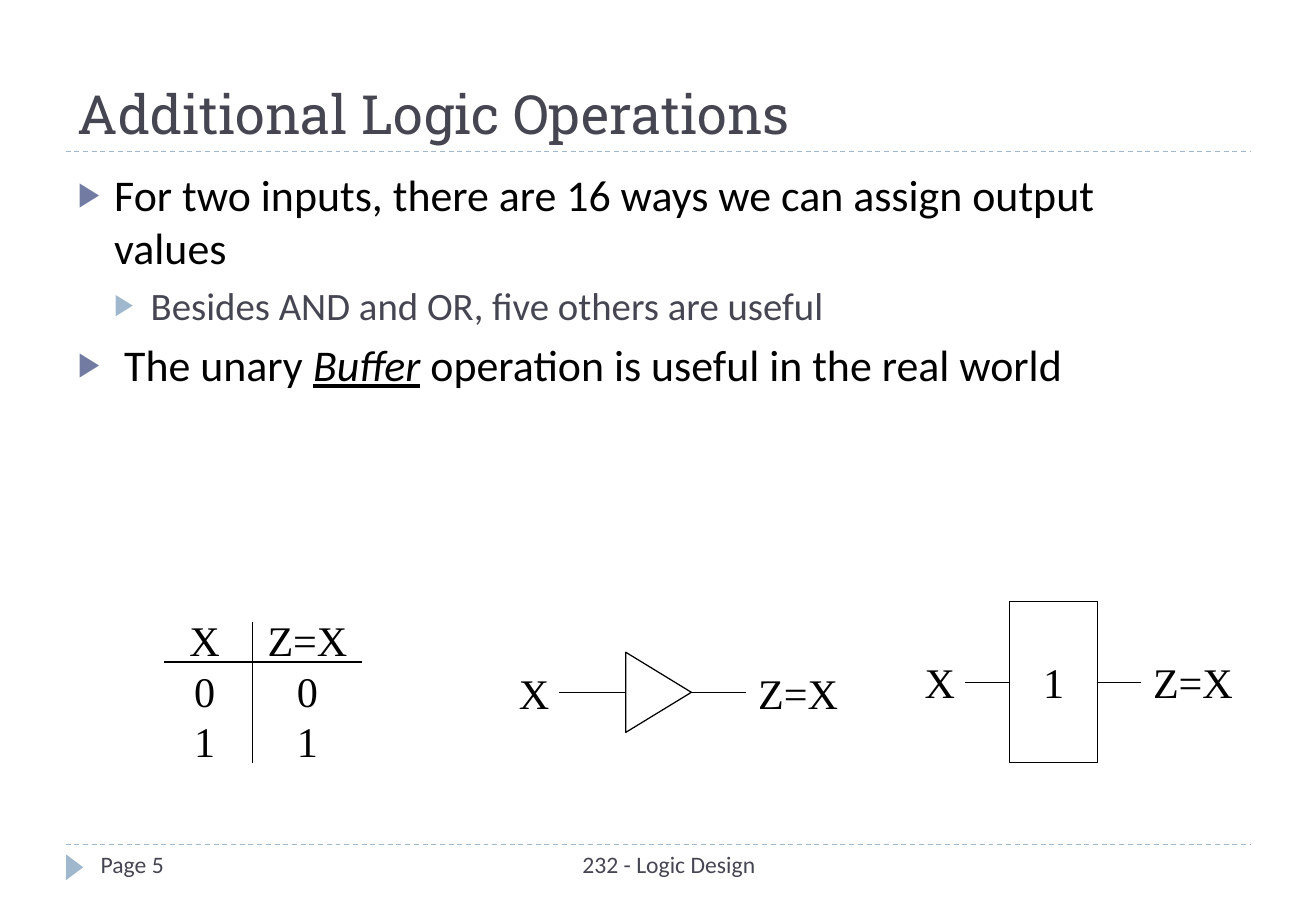
from lxml import etree
from pptx import Presentation
from pptx import util as u
from pptx.dml.color import RGBColor
from pptx.enum import dml, shapes, text
from pptx.oxml import ns

EMU_PER_PX = 9144  # 100 px to the inch

BLACK = RGBColor(0x00, 0x00, 0x00)
WHITE = RGBColor(0xFF, 0xFF, 0xFF)
SLATE = RGBColor(0x46, 0x46, 0x53)
INDIGO = RGBColor(0x72, 0x7C, 0xA3)
SKY = RGBColor(0x9F, 0xB8, 0xCD)

HEADING, SANS, SERIF = "Roboto Slab", "Calibri", "Times New Roman"
CENTER, LEFT = text.PP_ALIGN.CENTER, text.PP_ALIGN.LEFT
TOP, MIDDLE, BOTTOM = text.MSO_ANCHOR.TOP, text.MSO_ANCHOR.MIDDLE, text.MSO_ANCHOR.BOTTOM


def px(*lengths):
    return [u.Emu(length * EMU_PER_PX) for length in lengths]


def add_span(para, words, *, size=25, font=SERIF, color=BLACK, italic=False, underline=False):
    span = para.add_run()
    span.text = words
    span.font.size = u.Pt(size)
    span.font.name = font
    span.font.color.rgb = color
    span.font.italic = italic
    span.font.underline = underline


def add_bullet(para, color):
    props = para._p.get_or_add_pPr()
    indent = 30 * EMU_PER_PX
    props.set("marL", str(indent * (para.level + 1)))
    props.set("indent", str(-indent))
    tint = etree.SubElement(props, ns.qn("a:buClr"))
    etree.SubElement(tint, ns.qn("a:srgbClr"), val=str(color))
    etree.SubElement(props, ns.qn("a:buSzPct"), val="76000")
    etree.SubElement(props, ns.qn("a:buChar"), char="▶")


class SlideBuilder:
    def __init__(self, page):
        self.page = page
        self.line_width = u.Pt(0.75)

    def place(self, holder, left, top, width, height, anchor):
        holder.left, holder.top, holder.width, holder.height = px(left, top, width, height)
        frame = holder.text_frame
        frame.auto_size = text.MSO_AUTO_SIZE.NONE
        frame.vertical_anchor = anchor
        return frame

    def title(self, words, *area):
        para = self.place(self.page.shapes.title, *area, BOTTOM).paragraphs[0]
        para.alignment = LEFT
        add_span(para, words, size=32, font=HEADING, color=SLATE)

    def body(self, items, *area):
        frame = self.place(self.page.placeholders[1], *area, TOP)
        styles = [(26, BLACK, INDIGO, 6), (23, SLATE, SKY, 5)]
        for index, (level, spans) in enumerate(items):
            size, color, bullet, gap = styles[level]
            para = frame.paragraphs[0] if index == 0 else frame.add_paragraph()
            para.level = level
            para.space_before = u.Pt(gap)
            add_bullet(para, bullet)
            for words, emphasis in spans:
                add_span(para, words, size=size, font=SANS, color=color,
                         italic=emphasis, underline=emphasis)

    def label(self, rows, *area, align=CENTER, anchor=MIDDLE, wrap=False, **style):
        box = self.page.shapes.add_textbox(*px(*area))
        frame = box.text_frame
        frame.word_wrap = wrap
        frame.vertical_anchor = anchor
        for index, words in enumerate(rows):
            para = frame.paragraphs[0] if index == 0 else frame.add_paragraph()
            para.alignment = align
            add_span(para, words, **style)

    def line(self, x1, y1, x2, y2, color=BLACK, dashed=False):
        wire = self.page.shapes.add_connector(
            shapes.MSO_CONNECTOR.STRAIGHT, *px(x1, y1, x2, y2))
        wire.line.color.rgb = color
        wire.line.width = self.line_width
        if dashed:
            wire.line.dash_style = dml.MSO_LINE.DASH
        etree.SubElement(wire._element.spPr, ns.qn("a:effectLst"))

    def paint(self, shape, fill, outline=None):
        shape.shadow.inherit = False
        shape.fill.solid()
        shape.fill.fore_color.rgb = fill
        if outline is None:
            shape.line.fill.background()
        else:
            shape.line.color.rgb = outline
            shape.line.width = self.line_width

    def marker(self, *area):
        arrow = self.page.shapes.add_shape(shapes.MSO_SHAPE.ISOSCELES_TRIANGLE, *px(*area))
        arrow.rotation = 90
        self.paint(arrow, SKY)

    def block(self, words, *area):
        box = self.page.shapes.add_shape(shapes.MSO_SHAPE.RECTANGLE, *px(*area))
        self.paint(box, WHITE, BLACK)
        box.text_frame.word_wrap = False
        box.text_frame.vertical_anchor = MIDDLE
        para = box.text_frame.paragraphs[0]
        para.alignment = CENTER
        add_span(para, words)

    def polygon(self, start, *corners):
        builder = self.page.shapes.build_freeform(*start, scale=EMU_PER_PX)
        builder.add_line_segments(corners, close=True)
        self.paint(builder.convert_to_shape(), WHITE, BLACK)

    def gate_labels(self, input_left, output_left, top):
        self.label(["X"], input_left, top, 47, 53)
        self.label(["Z=X"], output_left, top, 88, 53, align=LEFT)


def main():
    deck = Presentation()
    deck.slide_width, deck.slide_height = px(1083, 750)
    slide = SlideBuilder(deck.slides.add_slide(deck.slide_layouts[1]))

    # Rules and footer
    for y in (695, 125):
        slide.line(54, y, 1029, y, SKY, dashed=True)
    slide.marker(51, 707, 21, 14)
    footer = dict(anchor=TOP, wrap=True, size=14, font=SANS, color=SLATE)
    slide.label(["232 - Logic Design"], 343, 695, 415, 40, **footer)
    slide.label(["Page 5"], 73, 695, 235, 40, align=LEFT, **footer)

    # Title and list
    slide.title("Additional Logic Operations", 54, 17, 975, 108)
    slide.body([
        (0, [("For two inputs, there are 16 ways we can assign output values", False)]),
        (1, [("Besides AND and OR, five others are useful", False)]),
        (0, [(" The unary ", False), ("Buffer", True),
             (" operation is useful in the real world", False)]),
    ], 54, 133, 928, 269)

    # Truth table
    slide.label(["X", "0", "1"], 145, 500, 47, 137)
    slide.label(["Z=X", "0", "1"], 209, 500, 88, 137)
    slide.line(135, 545, 298, 545)
    slide.line(208, 512, 208, 628)

    # Buffer as a triangle
    slide.polygon((569, 570), (515, 537), (515, 603))
    slide.line(515, 570, 460, 570)
    slide.line(569, 570, 614, 570)
    slide.gate_labels(416, 614, 544)

    # Buffer as a block
    slide.block("1", 831, 495, 72, 133)
    slide.line(831, 562, 794, 562)
    slide.line(903, 562, 939, 562)
    slide.gate_labels(750, 939, 535)

    deck.save("out.pptx")


if __name__ == "__main__":
    main()
